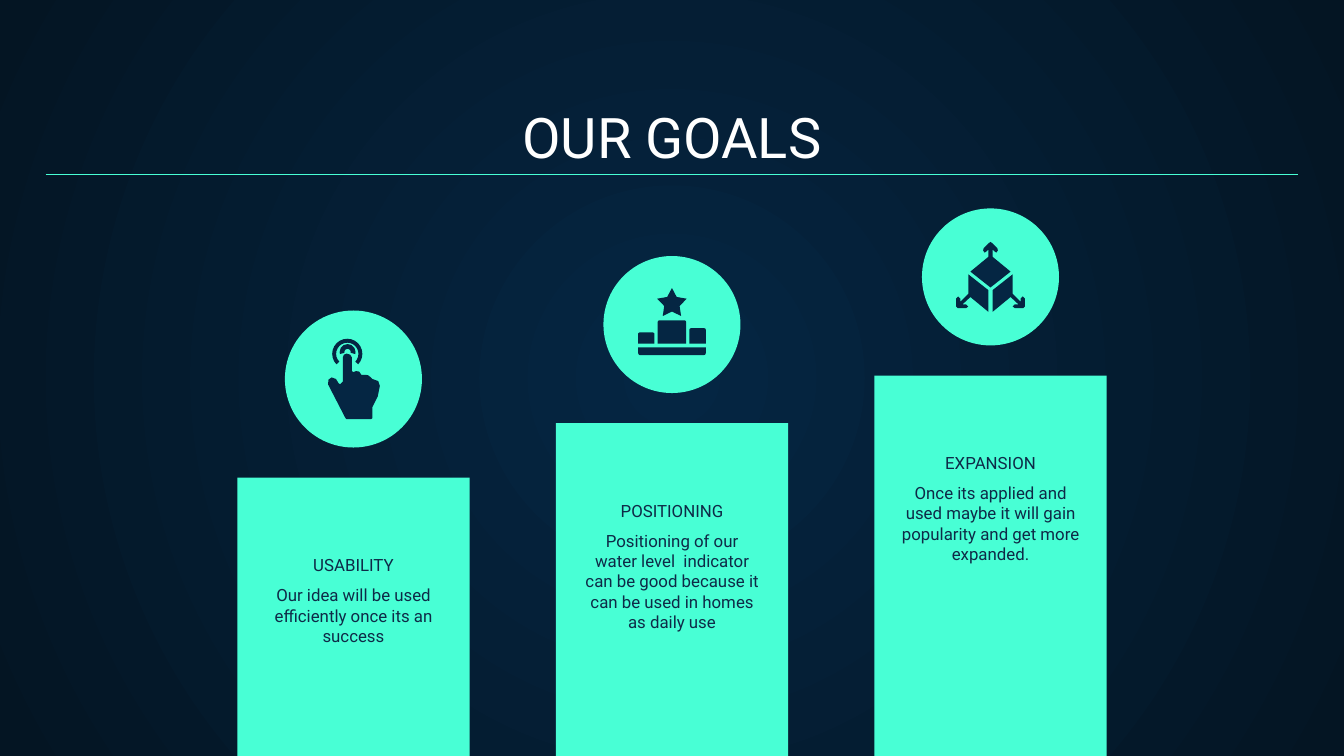
from pptx import Presentation
from pptx.dml.color import RGBColor
from pptx.enum.shapes import MSO_CONNECTOR, MSO_SHAPE as Shape
from pptx.enum.text import MSO_ANCHOR as Anchor, PP_ALIGN as Align
from pptx.oxml import parse_xml
from pptx.oxml.ns import nsdecls
from pptx.util import Cm, Pt

COLORS = {"mint": "48FFD5", "navy": "052643", "edge": "041523",
          "ink": "0E2A47", "white": "FFFFFF"}
FONT = "Roboto"
SLIDE_W, SLIDE_H = 25.4, 14.29
CARD_W, CARD_PITCH, CIRCLE = 4.39, 6.02, 2.59
CIRCLE_RISE = 3.16  # circle top above card top

GOALS = [
    ("USABILITY", "Our idea will be used efficiently once its an success", 9.03),
    ("POSITIONING", "Positioning of our water level  indicator can be good "
     "because it can be used in homes as daily use", 8.0),
    ("EXPANSION", "Once its applied and used maybe it will gain popularity "
     "and get more expanded.", 7.1),
]

# Icon outlines, in hundredths of a centimetre from the circle's centre
HAND = [(-13, -48), (-18, -46), (-20, -41), (-20, 5), (-25, 10), (-28, 8),
        (-33, 0), (-41, -3), (-47, 1), (-48, 10), (-15, 74), (-13, 76),
        (33, 76), (36, 74), (36, 53), (46, 33), (50, 13), (47, 4), (36, 0),
        (33, -3), (28, -7), (23, -8), (15, -8), (11, -14), (5, -15), (0, -13),
        (-3, -15), (-3, -41), (-6, -46)]
CUBE_TOP_HALF = [(0, 20), (38, -10), (4, -38), (4, -52), (8, -48), (11, -46),
                 (14, -50), (13, -54), (3, -64), (0, -66)]
CUBE_SIDE = [(42, -5), (4, 25), (4, 66), (38, 38), (53, 52), (46, 52),
             (42, 56), (46, 59), (62, 59), (65, 56), (65, 41), (61, 37),
             (57, 41), (57, 47), (42, 32)]


def rgb(name):
    return RGBColor.from_string(COLORS[name])


def paint(part, color):
    part.shadow.inherit = False
    part.fill.solid()
    part.fill.fore_color.rgb = rgb(color)
    part.line.fill.background()


def add_part(slide, kind, x, y, w, h, color, adjustments=()):
    part = slide.shapes.add_shape(kind, Cm(x), Cm(y), Cm(w), Cm(h))
    paint(part, color)
    for index, value in enumerate(adjustments):
        part.adjustments[index] = value


def add_outline(slide, cx, cy, points):
    builder = slide.shapes.build_freeform(*points[0], scale=Cm(0.01))
    builder.add_line_segments(points[1:], close=True)
    paint(builder.convert_to_shape(Cm(cx), Cm(cy)), "navy")


def add_text(slide, x, y, w, h, text, size, color, anchor=Anchor.TOP):
    frame = slide.shapes.add_textbox(Cm(x), Cm(y), Cm(w), Cm(h)).text_frame
    frame.word_wrap = True
    frame.vertical_anchor = anchor
    frame.margin_left = frame.margin_right = Cm(0.25)
    frame.margin_top = frame.margin_bottom = Cm(0.25)
    paragraph = frame.paragraphs[0]
    paragraph.alignment = Align.CENTER
    run = paragraph.add_run()
    run.text = text
    run.font.name, run.font.size = FONT, Pt(size)
    run.font.color.rgb = rgb(color)


def mirror(points):
    return [(-x, y) for x, y in points]


def touch_icon(slide, cx, cy):
    # Rings: left, top, size, start and end angle, thickness
    for x, y, size, start, end, band in [(-0.4, -0.76, 0.57, 136, 44, 0.13),
                                         (-0.26, -0.66, 0.3, 165, 15, 0.3)]:
        # Angles are stored in 60000ths, adjustments in 100000ths
        add_part(slide, Shape.BLOCK_ARC, cx + x, cy + y, size, size, "navy",
                 (start * 0.6, end * 0.6, band))
    add_outline(slide, cx, cy, HAND)


def podium_icon(slide, cx, cy):
    add_part(slide, Shape.STAR_5_POINT, cx - 0.28, cy - 0.69, 0.56, 0.53,
             "navy", (0.26,))
    # Steps and base: left, top, width, height, top and bottom rounding
    for x, y, w, h, top, bottom in [(-0.64, 0.15, 0.31, 0.21, 0.15, 0),
                                    (-0.27, -0.08, 0.54, 0.44, 0.08, 0),
                                    (0.33, 0.07, 0.31, 0.29, 0.1, 0),
                                    (-0.64, 0.43, 1.28, 0.15, 0, 0.3)]:
        add_part(slide, Shape.ROUND_2_SAME_RECTANGLE, cx + x, cy + y, w, h,
                 "navy", (top, bottom))


def cube_icon(slide, cx, cy):
    top = CUBE_TOP_HALF + mirror(CUBE_TOP_HALF[-2:0:-1])
    for face in (top, CUBE_SIDE, mirror(CUBE_SIDE)):
        add_outline(slide, cx, cy, face)


def add_background(slide):
    fill = slide.background.fill
    fill.gradient()
    for stop, color in zip(fill.gradient_stops, ("navy", "edge")):
        stop.color.rgb = rgb(color)
    gradient = slide.element.xpath(".//p:bg//a:gradFill")[0]
    for linear in gradient.xpath("a:lin"):
        gradient.remove(linear)
    gradient.append(parse_xml(
        f'<a:path {nsdecls("a")} path="circle"><a:fillToRect l="50000" '
        't="50000" r="50000" b="50000"/></a:path>'))


def add_title(slide, x, y, w, h):
    add_text(slide, x, y, w, h, "OUR GOALS", 30, "white", Anchor.BOTTOM)
    rule_y = Cm(y + 1.52)
    rule = slide.shapes.add_connector(MSO_CONNECTOR.STRAIGHT, Cm(x), rule_y,
                                      Cm(x + w), rule_y)
    rule.line.color.rgb = rgb("mint")
    rule.line.width = Pt(0.75)
    rule._element.spPr.append(parse_xml(f'<a:effectLst {nsdecls("a")}/>'))


def add_goal(slide, x, y, w, h, heading, body, draw_icon):
    center = x + w / 2
    # Card and its text
    add_part(slide, Shape.RECTANGLE, x, y, w, h, "mint")
    add_text(slide, center - 1.93, y + 1.78, 3.86, 1.4, body, 9, "ink")
    add_text(slide, center - 2.88, y + 1.5, 5.76, 0.53, heading, 9, "ink",
             Anchor.BOTTOM)
    # Icon in a circle
    circle_y = y - CIRCLE_RISE
    add_part(slide, Shape.OVAL, center - CIRCLE / 2, circle_y, CIRCLE, CIRCLE,
             "mint")
    draw_icon(slide, center, circle_y + CIRCLE / 2)


deck = Presentation()
deck.slide_width, deck.slide_height = Cm(SLIDE_W), Cm(SLIDE_H)
goals_slide = deck.slides.add_slide(deck.slide_layouts[6])
add_background(goals_slide)
add_title(goals_slide, 0.86, 1.78, 23.68, 1.68)

first_x = (SLIDE_W - CARD_W) / 2 - CARD_PITCH
icons = (touch_icon, podium_icon, cube_icon)
for column, ((heading, body, top), icon) in enumerate(zip(GOALS, icons)):
    add_goal(goals_slide, first_x + column * CARD_PITCH, top, CARD_W,
             SLIDE_H - top, heading, body, icon)

deck.save("out.pptx")
